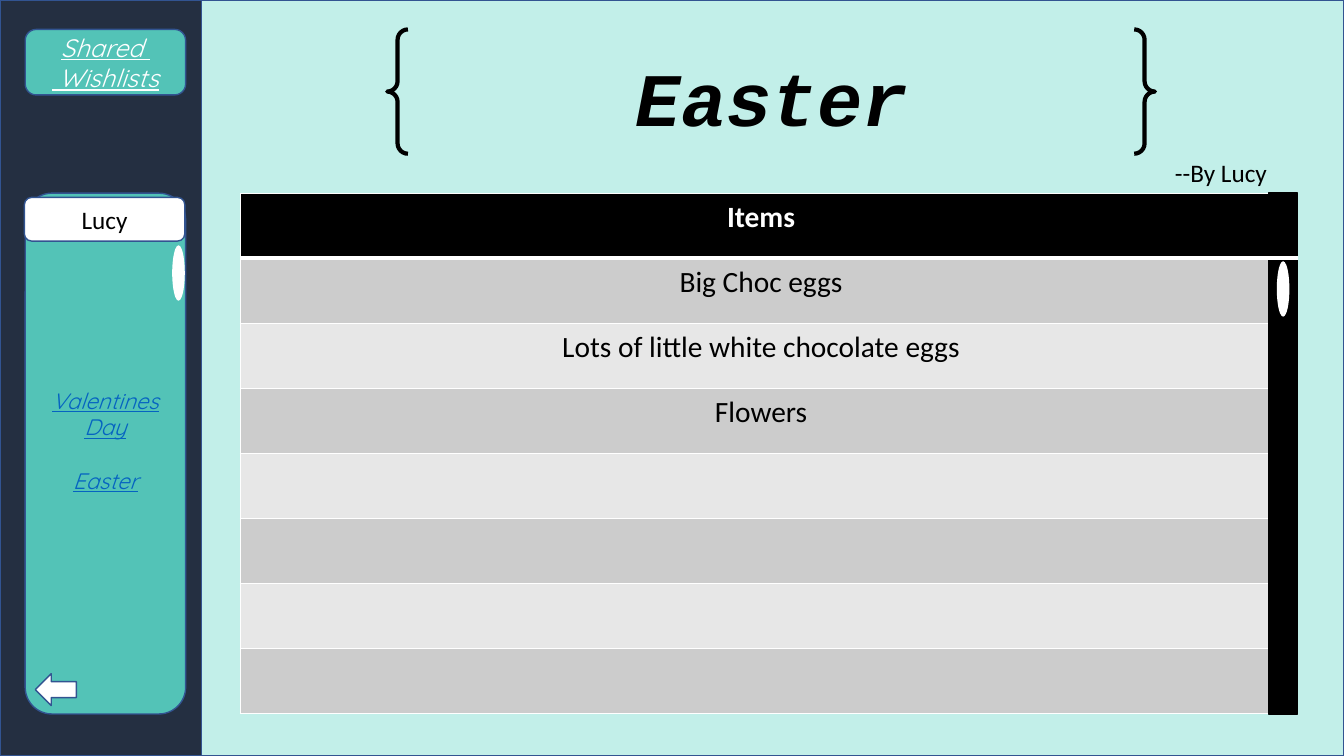
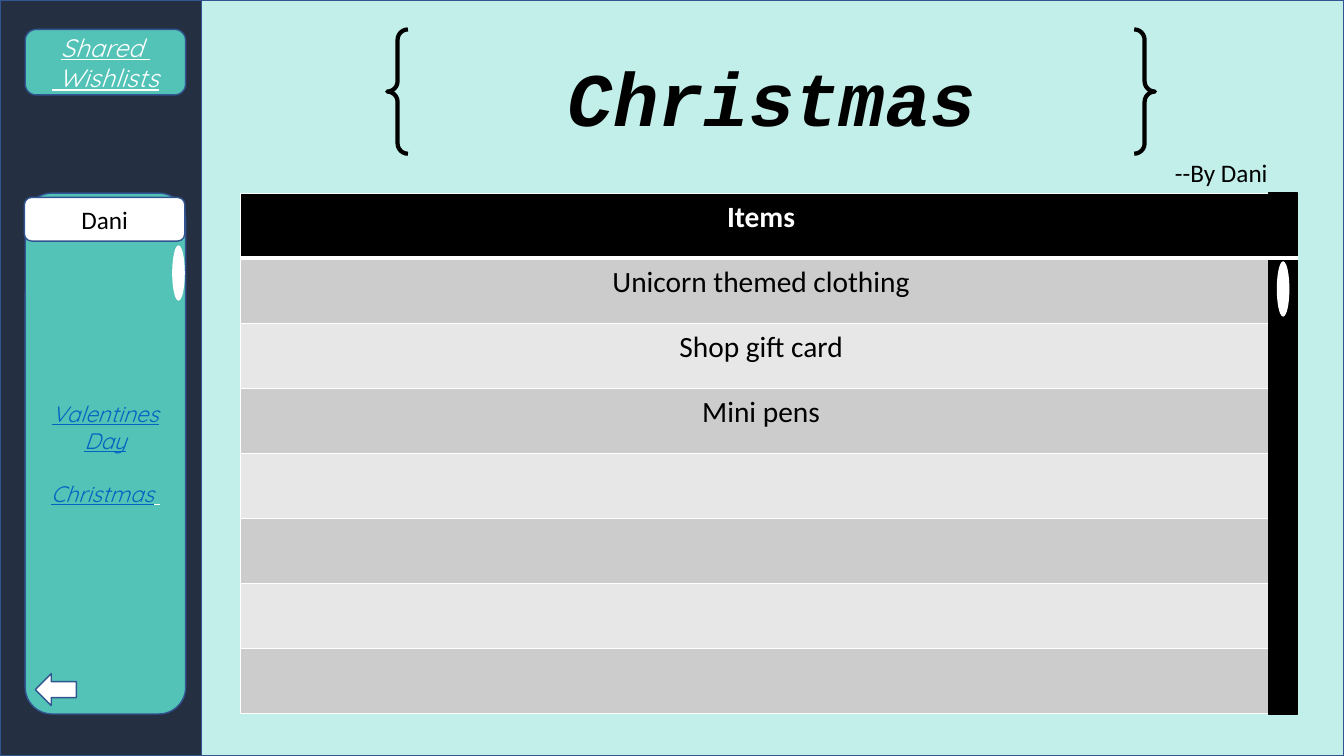
"""Builds two wishlist slides that share one sidebar, title and table design."""
from dataclasses import dataclass

import lxml.etree
import pptx
import pptx.dml.color
import pptx.enum.shapes
import pptx.enum.text
import pptx.oxml.ns
import pptx.util

SLIDE_WIDTH = pptx.util.Inches(13.333)
SLIDE_HEIGHT = pptx.util.Inches(7.5)
COLUMNS, ROWS = 160, 90
TABLE_ROWS = 8

NAVY, MINT, TEAL = "242F41", "C2EFE9", "53C3B7"
OUTLINE, LINK = "325491", "0563C1"
BLACK, WHITE = "000000", "FFFFFF"
STRIPES = ("CCCCCC", "E7E7E7")

PRESET = pptx.enum.shapes.MSO_SHAPE
ALIGN = pptx.enum.text.PP_ALIGN
ANCHOR = pptx.enum.text.MSO_ANCHOR


@dataclass(frozen=True)
class Box:
    column: float
    row: float
    width: float
    height: float

    def place(self) -> tuple[int, int, int, int]:
        return across(self.column), down(self.row), across(self.width), down(self.height)


@dataclass(frozen=True)
class TextStyle:
    size: float
    font: str = "Calibri"
    color: str = BLACK
    bold: bool = False
    italic: bool = False
    underline: bool = False


@dataclass(frozen=True)
class Figure:
    preset: int
    box: Box
    fill: str | None
    line: str | None = None
    weight: float = 1


@dataclass(frozen=True)
class Wishlist:
    occasion: str
    owner: str
    items: tuple[str, ...]
    link_tail: str = ""
    space_below_links: float = 0


TITLE = TextStyle(54, "Courier New", bold=True, italic=True)
LABEL = TextStyle(18)
BUTTON = TextStyle(18, "Quicksand", WHITE, italic=True, underline=True)
SIDE_LINK = TextStyle(16, "Quicksand", LINK, italic=True, underline=True)
LINK_TAIL = TextStyle(16, "Quicksand", WHITE, italic=True, underline=True)
HEADING = TextStyle(21, color=WHITE, bold=True)
ITEM = TextStyle(21)

TABLE = Box(28.6, 23, 124, 62)
ROW_HEIGHT = TABLE.height / TABLE_ROWS
TRACK = Box(151, TABLE.row, 3.5, TABLE.height)
TITLE_BOX = Box(52.1, 5.5, 79.6, 11.5)
BYLINE_BOX = Box(138.7, 18.1, 21, 4.8)

BACKDROP = (
    Figure(PRESET.RECTANGLE, Box(0, 0, 24, ROWS), NAVY, OUTLINE),
    Figure(PRESET.RECTANGLE, Box(24, 0, 136, ROWS), MINT, OUTLINE),
)
LINK_PANEL = Figure(PRESET.ROUNDED_RECTANGLE, Box(3, 23, 19.1, 62), TEAL, OUTLINE)
PANEL_THUMB = Figure(PRESET.OVAL, Box(20.5, 29.2, 1.5, 6.6), WHITE)
BRACES = Figure(PRESET.DOUBLE_BRACE, Box(46.1, 3.5, 91.4, 14.8), None, BLACK, 3)
SCROLLBAR = (
    Figure(PRESET.RECTANGLE, TRACK, BLACK, BLACK),
    Figure(PRESET.OVAL, Box(TRACK.column + 1, 31.1, 1.5, 6.6), WHITE),
)
NAME_TAG = Figure(PRESET.ROUNDED_RECTANGLE, Box(2.9, 23.5, 19.1, 5.2), WHITE, OUTLINE)
BACK_ARROW = Figure(PRESET.LEFT_ARROW, Box(4.2, 80.2, 4.9, 3.8), WHITE, OUTLINE)
SHARED_BUTTON = Figure(PRESET.ROUNDED_RECTANGLE, Box(3, 3.5, 19.1, 7.8), TEAL, OUTLINE)

WISHLISTS = (
    Wishlist("Easter", "Lucy",
             ("Big Choc eggs", "Lots of little white chocolate eggs", "Flowers"),
             space_below_links=19),
    Wishlist("Christmas", "Dani",
             ("Unicorn themed clothing", "Shop gift card", "Mini pens"),
             link_tail=" "),
)


def across(columns: float) -> int:
    return round(SLIDE_WIDTH * columns / COLUMNS)


def down(rows: float) -> int:
    return round(SLIDE_HEIGHT * rows / ROWS)


def rgb(value: str) -> pptx.dml.color.RGBColor:
    return pptx.dml.color.RGBColor.from_string(value)


def style_run(run, style: TextStyle) -> None:
    font = run.font
    font.size = pptx.util.Pt(style.size)
    font.name = style.font
    font.bold, font.italic, font.underline = style.bold, style.italic, style.underline
    font.color.rgb = rgb(style.color)


def write(text_frame, text: str, style: TextStyle, alignment=ALIGN.CENTER) -> None:
    text_frame.text = text
    for paragraph in text_frame.paragraphs:
        paragraph.alignment = alignment
        for run in paragraph.runs:
            style_run(run, style)


def draw_figure(shapes, figure: Figure):
    shape = shapes.add_shape(figure.preset, *figure.box.place())
    shape.shadow.inherit = False
    if figure.fill:
        shape.fill.solid()
        shape.fill.fore_color.rgb = rgb(figure.fill)
    else:
        shape.fill.background()
    if figure.line:
        shape.line.color.rgb = rgb(figure.line)
        shape.line.width = pptx.util.Pt(figure.weight)
    else:
        shape.line.fill.background()
    return shape


def draw_label(shapes, figure: Figure, text: str, style: TextStyle):
    shape = draw_figure(shapes, figure)
    shape.text_frame.vertical_anchor = ANCHOR.MIDDLE
    write(shape.text_frame, text, style)
    return shape


def draw_text(shapes, box: Box, text: str, style: TextStyle, alignment) -> None:
    text_frame = shapes.add_textbox(*box.place()).text_frame
    text_frame.word_wrap = True
    write(text_frame, text, style, alignment)


def draw_links(shapes, wishlist: Wishlist) -> None:
    panel = draw_label(shapes, LINK_PANEL, f"Valentines Day\n{wishlist.occasion}", SIDE_LINK)
    text_frame = panel.text_frame
    text_frame.margin_bottom += pptx.util.Pt(wishlist.space_below_links)
    occasion = text_frame.paragraphs[-1]
    occasion.space_before = pptx.util.Pt(19)
    if wishlist.link_tail:
        tail = occasion.add_run()
        tail.text = wishlist.link_tail
        style_run(tail, LINK_TAIL)


def draw_title(slide, occasion: str) -> None:
    group = slide.shapes.add_group_shape()
    draw_text(group.shapes, TITLE_BOX, occasion, TITLE, ALIGN.CENTER)
    draw_figure(group.shapes, BRACES)


def set_borders(cell, top: float, bottom: float) -> None:
    properties = cell._tc.get_or_add_tcPr()
    qualify = pptx.oxml.ns.qn
    for side, weight in (("L", 1), ("R", 1), ("T", top), ("B", bottom)):
        border = lxml.etree.SubElement(properties, qualify(f"a:ln{side}"),
                                       w=str(pptx.util.Pt(weight)))
        fill = lxml.etree.SubElement(border, qualify("a:solidFill"))
        lxml.etree.SubElement(fill, qualify("a:srgbClr"), val=WHITE)


def draw_table(slide, items: tuple[str, ...]) -> None:
    table = slide.shapes.add_table(TABLE_ROWS, 1, *TABLE.place()).table
    texts = ("Items", *items)
    for index, row in enumerate(table.rows):
        row.height = down(ROW_HEIGHT)
        cell = row.cells[0]
        set_borders(cell, top=3 if index == 1 else 1, bottom=3 if index == 0 else 1)
        cell.fill.solid()
        cell.fill.fore_color.rgb = rgb(STRIPES[(index - 1) % 2] if index else BLACK)
        cell.margin_left = cell.margin_right = across(1.44)
        cell.margin_top = cell.margin_bottom = down(0.72)
        if index < len(texts):
            write(cell.text_frame, texts[index], ITEM if index else HEADING)


def draw_scrollbar(slide) -> None:
    for figure in SCROLLBAR:
        draw_figure(slide.shapes, figure)
    height = down(TRACK.row + ROW_HEIGHT)
    connector = slide.shapes.add_connector(
        pptx.enum.shapes.MSO_CONNECTOR.STRAIGHT,
        across(TRACK.column), height, across(TRACK.column + TRACK.width), height)
    connector.line.color.rgb = rgb(WHITE)
    connector.line.width = pptx.util.Pt(3)
    lxml.etree.SubElement(connector._element.spPr, pptx.oxml.ns.qn("a:effectLst"))


def draw_wishlist(presentation, wishlist: Wishlist) -> None:
    slide = presentation.slides.add_slide(presentation.slide_layouts[6])
    shapes = slide.shapes
    for figure in BACKDROP:
        draw_figure(shapes, figure)
    draw_links(shapes, wishlist)
    draw_figure(shapes, PANEL_THUMB)
    draw_title(slide, wishlist.occasion)
    draw_table(slide, wishlist.items)
    draw_scrollbar(slide)
    draw_label(shapes, NAME_TAG, wishlist.owner, LABEL)
    draw_text(shapes, BYLINE_BOX, f"--By {wishlist.owner}", LABEL, ALIGN.LEFT)
    draw_figure(shapes, BACK_ARROW)
    draw_label(shapes, SHARED_BUTTON, "Shared \v Wishlists", BUTTON)


def main() -> None:
    presentation = pptx.Presentation()
    presentation.slide_width = SLIDE_WIDTH
    presentation.slide_height = SLIDE_HEIGHT
    for wishlist in WISHLISTS:
        draw_wishlist(presentation, wishlist)
    presentation.save("out.pptx")


if __name__ == "__main__":
    main()
